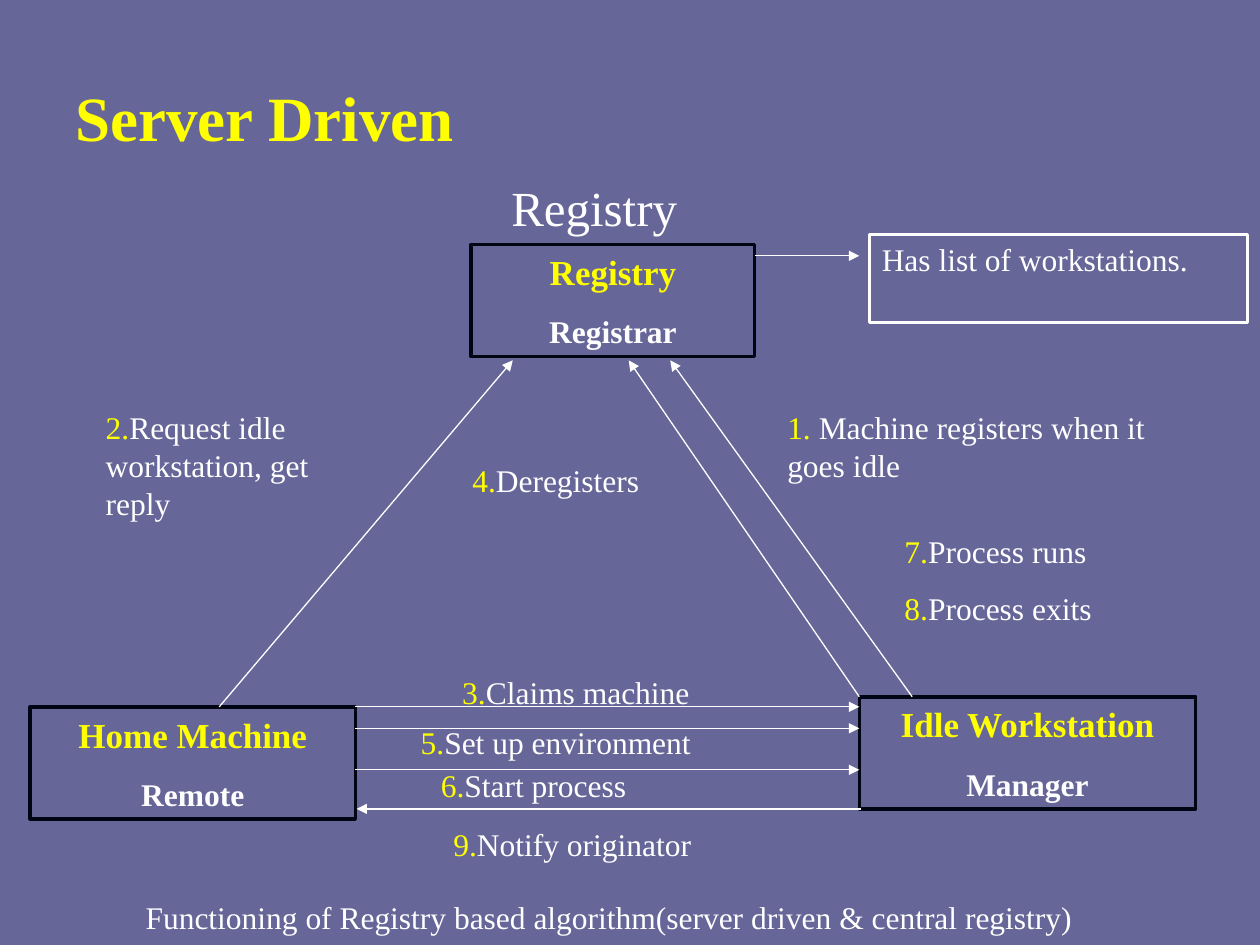
from lxml.etree import SubElement
from pptx import Presentation
from pptx.dml.color import RGBColor
from pptx.enum.shapes import MSO_CONNECTOR, MSO_SHAPE
from pptx.enum.text import MSO_ANCHOR, MSO_AUTO_SIZE, PP_ALIGN
from pptx.oxml.ns import qn
from pptx.util import Inches, Pt

YELLOW, WHITE, BLACK, BACK = "FFFF00", "FFFFFF", "000514", "666699"
FONT = "Times New Roman"


def rgb(value):
    """Turn a hex string into a colour."""
    return RGBColor.from_string(value)


class Diagram:
    """Style and current slide, measured on a grid of 100 columns by 75 rows."""

    def __init__(self, prs):
        """Add a title-only slide with a plain background."""
        self.cell = prs.slide_width / 100
        self.slide = prs.slides.add_slide(prs.slide_layouts[5])
        fill = self.slide.background.fill
        fill.solid()
        fill.fore_color.rgb = rgb(BACK)

    def grid(self, *cells):
        """Convert grid cells to lengths."""
        return [round(c * self.cell) for c in cells]

    def set_text(self, sp, paras, align=PP_ALIGN.LEFT, anchor=MSO_ANCHOR.TOP):
        """Fill a shape with paragraphs of (text, colour, size, bold) runs."""
        tf = sp.text_frame
        frame = {"word_wrap": True, "auto_size": MSO_AUTO_SIZE.NONE, "vertical_anchor": anchor}
        for name, value in frame.items():
            setattr(tf, name, value)
        for i, runs in enumerate(paras):
            p = tf.add_paragraph() if i else tf.paragraphs[0]
            p.alignment = align
            p.space_before = Pt(11.2 if i else 0)
            for text, color, size, bold in runs:
                r = p.add_run()
                r.text = text
                for name, value in {"name": FONT, "size": Pt(size), "bold": bold}.items():
                    setattr(r.font, name, value)
                r.font.color.rgb = rgb(color)

    def title(self, text, *at):
        """Place and format the title."""
        sp = self.slide.shapes.title
        for name, value in zip(("left", "top", "width", "height"), self.grid(*at)):
            setattr(sp, name, value)
        self.set_text(sp, [[(text, YELLOW, 36, True)]], anchor=MSO_ANCHOR.MIDDLE)

    def text(self, text, *at, size=18, align=PP_ALIGN.LEFT):
        """Add a plain white text."""
        sp = self.slide.shapes.add_textbox(*self.grid(*at))
        self.set_text(sp, [[(text, WHITE, size, False)]], align)

    def steps(self, items, *at):
        """Add steps with a yellow number and white wording."""
        sp = self.slide.shapes.add_textbox(*self.grid(*at))
        self.set_text(sp, [[(num, YELLOW, 18, False), (text, WHITE, 18, False)]
                           for num, text in items])

    def box(self, paras, *at, line=BLACK, align=PP_ALIGN.CENTER):
        """Add an outlined box."""
        sp = self.slide.shapes.add_shape(MSO_SHAPE.RECTANGLE, *self.grid(*at))
        sp.shadow.inherit = False
        sp.fill.background()
        sp.line.color.rgb = rgb(line)
        sp.line.width = Pt(2)
        self.set_text(sp, paras, align)

    def node(self, name, role, *at):
        """Add a machine box with its name and the program it runs."""
        self.box([[(name, YELLOW, 20, True)], [(role, WHITE, 18, True)]], *at)

    def arrow(self, *ends):
        """Add a thin white arrow."""
        sp = self.slide.shapes.add_connector(MSO_CONNECTOR.STRAIGHT, *self.grid(*ends))
        sp.line.color.rgb = rgb(WHITE)
        sp.line.width = Pt(0.75)
        props = sp._element.spPr
        SubElement(props.find(qn("a:ln")), qn("a:tailEnd"), type="triangle")
        SubElement(props, qn("a:effectLst"))


def main():
    """Build the slide."""
    prs = Presentation()
    prs.slide_width, prs.slide_height = Inches(10), Inches(7.5)
    s = Diagram(prs)
    s.title("Server Driven", 5, 3, 90, 12.5)
    s.text("Registry", 39.6, 13.6, 16, 5.5, size=28)

    s.node("Registry", "Registrar", 37.4, 19.4, 22.5, 8.9)
    s.node("Home Machine", "Remote", 2.4, 56.1, 25.8, 8.9)
    s.node("Idle Workstation", "Manager", 68.2, 55.3, 26.7, 8.9)
    s.box([[("Has list of workstations.", WHITE, 18, False)]],
          69, 18.6, 30, 7, line=WHITE, align=PP_ALIGN.LEFT)

    s.arrow(59.9, 20.3, 68.2, 20.3)
    s.arrow(72.4, 55.3, 53.2, 28.6)
    s.arrow(68.2, 55.3, 49.9, 28.6)
    s.arrow(17.4, 56.1, 40.7, 28.6)
    for row in (56.1, 57.8, 61.1):
        s.arrow(28.2, row, 68.2, row)
    s.arrow(68.3, 64.2, 28.3, 64.2)

    s.steps([("1. ", "Machine registers when it goes idle")], 61.5, 31.9, 31.7, 7)
    s.steps([("2.", "Request idle workstation, get reply")], 7.4, 31.9, 20.8, 10)
    s.steps([("3.", "Claims machine")], 35.7, 52.9, 22.5, 7)
    s.steps([("4.", "Deregisters")], 36.5, 36.1, 15.8, 7)
    s.steps([("5.", "Set up environment")], 32.4, 56.9, 30.8, 4)
    s.steps([("6.", "Start process")], 34, 60.3, 29.2, 4)
    s.steps([("7.", "Process runs"), ("8.", "Process exits")], 70.8, 41.7, 22.5, 8.6)
    s.steps([("9.", "Notify originator")], 35, 65, 23.3, 7)
    s.text("Functioning of Registry based algorithm(server driven & central registry)",
           9.2, 70.8, 78.3, 4, align=PP_ALIGN.CENTER)
    prs.save("out.pptx")


if __name__ == "__main__":
    main()
